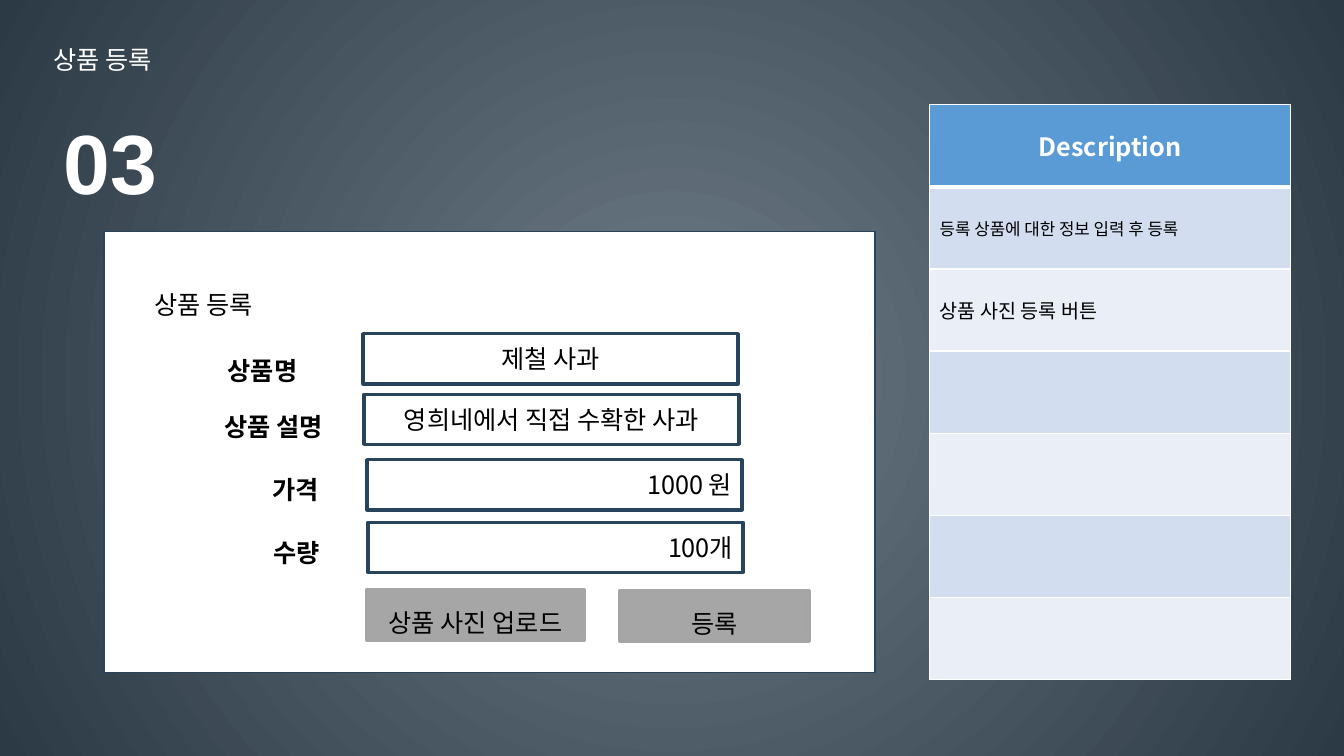
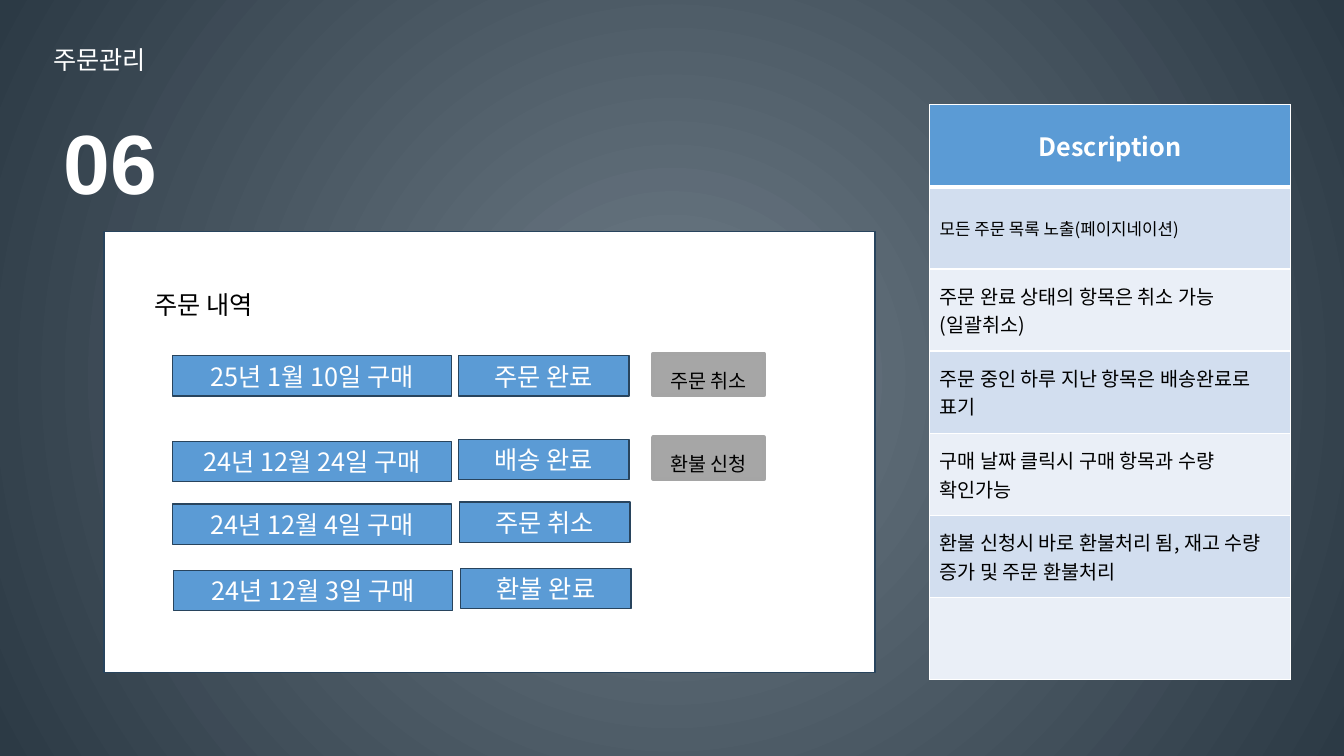
from dataclasses import dataclass

from lxml import etree
from pptx import Presentation, util as u
from pptx.dml.color import RGBColor as Rgb
from pptx.enum import shapes, text as t
from pptx.oxml.ns import qn

PX = 9144


@dataclass(frozen=True)
class Theme:
    """Colours, fonts and type sizes of the deck."""
    glow: str = "6E7C87"
    dusk: str = "2C3A45"
    white: str = "FFFFFF"
    black: str = "000000"
    navy: str = "28445D"
    blue: str = "5B9BD5"
    grey: str = "A6A6A6"
    rim: str = "A5A5A5"
    bands: tuple = ("EAEFF7", "D2DEEF")
    font: str = "Noto Sans CJK KR"
    digit: str = "Arial"
    huge: int = 60
    base: int = 18
    mid: int = 14
    small: int = 12


TH = Theme()
LEFT, MID, RIGHT = t.PP_ALIGN.LEFT, t.PP_ALIGN.CENTER, t.PP_ALIGN.RIGHT


def rgb(code):
    """Turn a hex code into a colour."""
    return Rgb.from_string(code)


def emu(*nums):
    """Turn px lengths into EMU."""
    return [u.Emu(n * PX) for n in nums]


def put(frame, words, size=TH.base, color=TH.black, bold=False,
        font=TH.font, align=LEFT, lead=None):
    """Write words into a text frame with the given format."""
    para = frame.paragraphs[0]
    para.alignment = align
    if lead:
        para.line_spacing = lead
    run = para.add_run()
    run.text = words
    face = run.font
    face.size, face.bold, face.name = u.Pt(size), bold, font
    face.color.rgb = rgb(color)
    east = etree.SubElement(face._element, qn("a:ea"))
    east.set("typeface", font)


def label(slide, box, words, wrap=True, **form):
    """Add a growing text box with open line spacing."""
    frame = slide.shapes.add_textbox(*emu(*box)).text_frame
    frame.word_wrap = wrap
    frame.auto_size = t.MSO_AUTO_SIZE.SHAPE_TO_FIT_TEXT
    put(frame, words, lead=1.5, **form)


def block(slide, box, words="", fill=None, line=TH.navy, width=1,
          grow=False, **form):
    """Add a rectangle, with centred text by default."""
    shape = slide.shapes.add_shape(shapes.MSO_SHAPE.RECTANGLE, *emu(*box))
    shape.shadow.inherit = False
    if fill:
        shape.fill.solid()
        shape.fill.fore_color.rgb = rgb(fill)
    else:
        shape.fill.background()
    shape.line.color.rgb = rgb(line)
    shape.line.width = u.Pt(width)
    frame = shape.text_frame
    frame.word_wrap = True
    frame.vertical_anchor = t.MSO_ANCHOR.MIDDLE
    if grow:
        frame.auto_size = t.MSO_AUTO_SIZE.SHAPE_TO_FIT_TEXT
    if words:
        put(frame, words, **{"align": MID, **form})


def button(slide, box, words, size=TH.base):
    """Add a grey button."""
    block(slide, box, words, fill=TH.grey, line=TH.rim, width=3,
          grow=True, size=size, lead=1.5)


def edge(cell, **sides):
    """Draw white cell borders of the given widths in points."""
    props = cell._tc.get_or_add_tcPr()
    for side, width in sides.items():
        line = etree.SubElement(props, qn("a:ln" + side), w=str(u.Pt(width)))
        fill = etree.SubElement(line, qn("a:solidFill"))
        etree.SubElement(fill, qn("a:srgbClr"), val=TH.white)


def notes(slide, box, items, rows=7):
    """Add the description table."""
    x, y, w, h = box
    grid = slide.shapes.add_table(rows, 1, *emu(x, y, w, h)).table
    for i, words in enumerate(["Description", *items] + [""] * (rows - 1 - len(items))):
        grid.rows[i].height = u.Emu(h * PX // rows)
        cell = grid.cell(i, 0)
        edge(cell, L=1, R=1, T=3 if i == 1 else 1, B=3 if i == 0 else 1)
        cell.fill.solid()
        cell.fill.fore_color.rgb = rgb(TH.bands[i % 2] if i else TH.blue)
        cell.vertical_anchor = t.MSO_ANCHOR.MIDDLE
        if i == 0:
            put(cell.text_frame, words, color=TH.white, bold=True, align=MID)
        elif words:
            put(cell.text_frame, words, size=TH.small if i == 1 else TH.mid)


def form(slide, box):
    """Fill the panel with the product entry form."""
    x, y = box[:2]
    rows = [
        ("상품명", 113, 103, "제철 사과", 257, 101, MID),
        ("상품 설명", 110, 158, "영희네에서 직접 수확한 사과", 258, 161, MID),
        ("가격", 157, 221, "1000 원", 261, 226, RIGHT),
        ("수량", 158, 283, "100개", 262, 288, RIGHT),
    ]
    for name, nx, ny, value, vx, vy, align in rows:
        label(slide, (x + nx, y + ny, 526, 50), name, bold=True)
        block(slide, (x + vx, y + vy, 372, 50), value, width=2.25, align=align)
    button(slide, (x + 261, y + 355, 215, 50), "상품 사진 업로드")
    button(slide, (x + 512, y + 356, 187, 50), "등록")


def orders(slide, box):
    """Fill the panel with the order history."""
    x, y = box[:2]
    rows = [
        ("25년 1월 10일 구매", 68, 123, "주문 완료", 352, 123, "주문 취소"),
        ("24년 12월 24일 구매", 68, 208, "배송 완료", 352, 206, "환불 신청"),
        ("24년 12월 4일 구매", 68, 270, "주문 취소", 353, 268, ""),
        ("24년 12월 3일 구매", 69, 336, "환불 완료", 354, 334, ""),
    ]
    for date, dx, dy, state, sx, sy, act in rows:
        for words, left, top, wide in ((date, dx, dy, 277), (state, sx, sy, 169)):
            block(slide, (x + left, y + top, wide, 40), words,
                  fill=TH.blue, color=TH.white)
        if act:
            button(slide, (x + 545, y + sy - 2, 110, 41), act, TH.mid)


def page(deck, title, num, head, body, items):
    """Add one screen slide with its panel and table."""
    slide = deck.slides.add_slide(deck.slide_layouts[6])
    panel = (103, 230, 765, 437)
    block(slide, panel, fill=TH.white)
    label(slide, (43, 24, 880, 50), title, color=TH.white)
    label(slide, (53, 55, 118, 142), num, wrap=False, size=TH.huge,
          color=TH.white, bold=True, font=TH.digit)
    label(slide, (panel[0] + 40, panel[1] + 37, 880, 50), head)
    body(slide, panel)
    notes(slide, (922, 104, 358, 570), items)


def backdrop(master):
    """Give the master a radial gradient."""
    fill = master.background.fill
    fill.gradient()
    for stop, code in zip(fill.gradient_stops, (TH.glow, TH.dusk)):
        stop.color.rgb = rgb(code)
    grad = master.element.find(".//" + qn("p:bg")).find(".//" + qn("a:gradFill"))
    lin = grad.find(qn("a:lin"))
    ring = etree.Element(qn("a:path"), path="circle")
    etree.SubElement(ring, qn("a:fillToRect"),
                     {side: "50000" for side in "ltrb"})
    grad.replace(lin, ring)


def main():
    """Build and save the deck."""
    deck = Presentation()
    deck.slide_width, deck.slide_height = emu(1333, 750)
    backdrop(deck.slide_master)
    page(deck, "상품 등록", "03", "상품 등록", form, [
        "등록 상품에 대한 정보 입력 후 등록",
        "상품 사진 등록 버튼",
    ])
    page(deck, "주문관리", "06", "주문 내역", orders, [
        "모든 주문 목록 노출(페이지네이션)",
        "주문 완료 상태의 항목은 취소 가능(일괄취소)",
        "주문 중인 하루 지난 항목은 배송완료로 표기",
        "구매 날짜 클릭시 구매 항목과 수량 확인가능",
        "환불 신청시 바로 환불처리 됨, 재고 수량 증가 및 주문 환불처리",
    ])
    deck.save("out.pptx")


if __name__ == "__main__":
    main()
